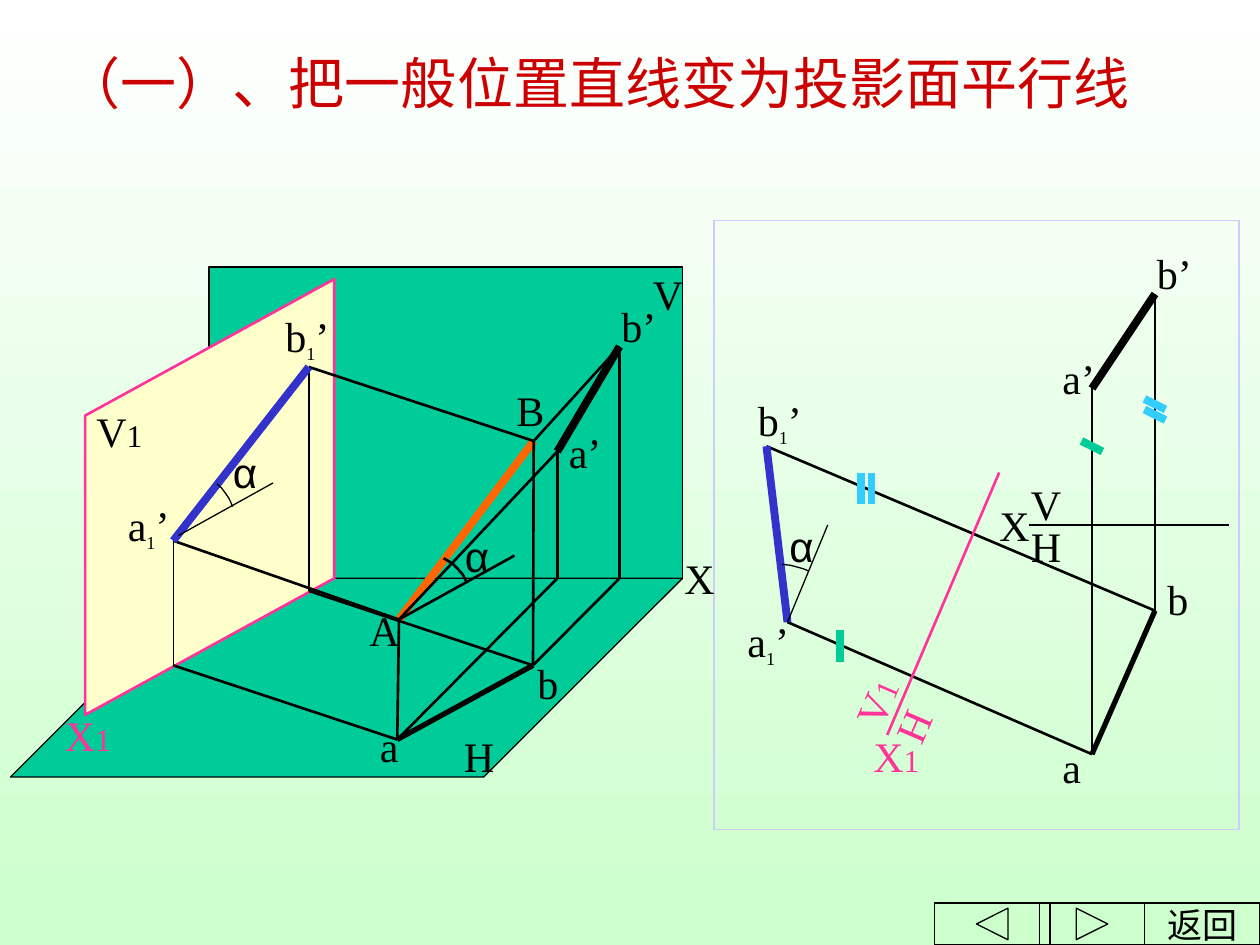
import pptx
import pptx.dml.color
import pptx.enum.shapes
import pptx.enum.text
import pptx.oxml.ns
import pptx.util
from lxml import etree

Pt = pptx.util.Pt
SHAPE = pptx.enum.shapes.MSO_SHAPE
ALIGN = pptx.enum.text.PP_ALIGN
ANCHOR = pptx.enum.text.MSO_ANCHOR

SERIF, SANS, CJK = "Times New Roman", "Arial", "Noto Sans CJK JP"
BLACK, GREEN, PINK = "000000", "00CC99", "FF3399"
BLUE, CYAN, ORANGE = "3333CC", "33CCFF", "FF6600"
THIN, MEDIUM, BOLD, THICK = 0.75, 1.5, 3, 4.5

# Points of the spatial view (left) and of the projection drawing (right)
SPACE = {
    "A": (228, 354), "B": (305, 252), "a": (227, 422.6), "b": (304.6, 380.2),
    "a'": (318.5, 258), "b'": (354, 198), "ax": (318.5, 330.5), "bx": (354, 330.5),
    "a1'": (99, 309), "b1'": (176.5, 209.7), "a1": (99, 380.2), "b1": (176.5, 337.7),
    "A angle": (294, 317.5), "a1' start": (102, 306), "a1' angle": (156, 276),
}
FLAT = {
    "a": (624, 431), "b": (660, 349), "a'": (624, 222), "b'": (660, 168),
    "a1'": (450, 355.5), "b1'": (438, 255), "angle": (473, 300),
    "x": (588, 300), "x end": (702, 300), "x1 top": (571, 270), "x1": (507, 420),
}

# outline, closed, fill, line colour, line width
PLANES = [
    ([(119.5, 152.5), (390, 152.5), (390, 330.5), (119.5, 330.5)], GREEN, BLACK, THIN),
    ([(119.5, 330.5), (6, 444), (276.5, 444), (390, 330.5)], GREEN, BLACK, THIN),
    ([(48.7, 408.5), (191, 330.5), (191, 159.5), (48.7, 237.5)], "FFFFCC", PINK, MEDIUM),
]
ARCS = [
    ([(253.5, 319), (258.5, 322), (261.5, 325), (264.5, 328.5), (266.5, 332.5)], MEDIUM),
    ([(124, 276.5), (126.5, 278.7), (129, 282), (131, 285), (133, 289.5)], THIN),
    ([(447, 322.5), (451.5, 323), (455.5, 324), (459, 325), (462, 326.2)], THIN),
]

SPACE_LINES = [
    ("b'", "bx", BLACK, MEDIUM), ("a'", "ax", BLACK, MEDIUM), ("a", "b", BLACK, BOLD),
    ("bx", "b", BLACK, MEDIUM), ("ax", "a", BLACK, MEDIUM), ("b'", "a'", BLACK, THICK),
    ("B", "A", ORANGE, THICK), ("b'", "B", BLACK, MEDIUM), ("a'", "A", BLACK, MEDIUM),
    ("A", "a", BLACK, MEDIUM), ("A", "A angle", BLACK, MEDIUM), ("B", "b", BLACK, MEDIUM),
    ("b1'", "b1", BLACK, MEDIUM), ("B", "b1'", BLACK, MEDIUM), ("A", "a1'", BLACK, MEDIUM),
    ("a", "a1", BLACK, MEDIUM), ("b", "b1", BLACK, MEDIUM), ("a1'", "a1", BLACK, THIN),
    ("b1'", "a1'", BLUE, THICK), ("a1' start", "a1' angle", BLACK, THIN),
]
FLAT_LINES = [
    ("b1'", "b", BLACK, MEDIUM), ("a1'", "a", BLACK, MEDIUM), ("b1'", "a1'", BLUE, THICK),
    ("a1'", "angle", BLACK, THIN), ("x1 top", "x1", PINK, MEDIUM),
    ("x", "x end", BLACK, MEDIUM), ("b'", "b", BLACK, MEDIUM), ("a'", "a", BLACK, MEDIUM),
    ("b", "a", BLACK, BOLD), ("b'", "a'", BLACK, THICK),
]
# Equal-length marks: start, run, colour
UPRIGHT, SLANTED = (0, 18), (12, 6)
MARKS = [
    ((492, 270), UPRIGHT, CYAN), ((498, 270), UPRIGHT, CYAN), ((480, 360), UPRIGHT, GREEN),
    ((618, 252), SLANTED, GREEN), ((654, 228), SLANTED, CYAN), ((654, 234), SLANTED, CYAN),
]

# Labels: "_" puts the next character below the line, "~" only makes it smaller
LABELS = [
    ("V", 366, 150, 30), ("H", 258, 414, 30), ("X", 384, 312, 36), ("A", 204, 342, 30),
    ("a’", 318, 240, 42), ("B", 288, 216, 30), ("b’", 348, 168, 48), ("a", 210, 408, 48),
    ("b", 300, 372, 48), ("V~1", 48, 228, 48), ("a_1’", 66, 282, 42),
    ("b_1’", 156, 174, 42), ("a_1’", 420, 348, 42), ("b_1’", 426, 222, 42),
    ("b", 660, 324, 48), ("a", 600, 420, 48), ("b’", 654, 138, 48), ("a’", 600, 198, 48),
    ("X", 564, 282, 36), ("V", 582, 270, 30), ("H", 582, 294, 30),
]
ANGLES = [("α", 258.5, 299.5, 35), ("α", 126, 251.5, 30), ("α", 444, 294, 35)]
X1_LABELS = [
    ("X~1", 30, 402, 60, 0), ("X~1", 492, 414, 60, 0),
    ("V~1", 480, 382.5, 41, 293.3), ("H", 506, 397.5, 30, 293.3),
]
BUTTONS = [
    (SHAPE.ACTION_BUTTON_CUSTOM, 654, 66, "返回"),
    (SHAPE.ACTION_BUTTON_BACK_OR_PREVIOUS, 534, 66, ""),
    (SHAPE.ACTION_BUTTON_FORWARD_OR_NEXT, 594, 60, ""),
]

prs = pptx.Presentation()
prs.slide_width, prs.slide_height = Pt(720), Pt(540)
slide = prs.slides.add_slide(prs.slide_layouts[6])
shapes = slide.shapes


def rgb(value):
    return pptx.dml.color.RGBColor.from_string(value)


def paint(sp, fill, line, width):
    sp.shadow.inherit = False
    if fill:
        sp.fill.solid()
        sp.fill.fore_color.rgb = rgb(fill)
    else:
        sp.fill.background()
    sp.line.color.rgb = rgb(line)
    sp.line.width = Pt(width)


def add_line(start, end, color, width):
    line = shapes.add_connector(pptx.enum.shapes.MSO_CONNECTOR.STRAIGHT,
                                *(Pt(v) for v in (*start, *end)))
    line.line.color.rgb = rgb(color)
    line.line.width = Pt(width)
    etree.SubElement(line._element.spPr, pptx.oxml.ns.qn("a:effectLst"))


def add_outline(points, fill, line, width, closed=True):
    points = [(Pt(x), Pt(y)) for x, y in points]
    builder = shapes.build_freeform(*points[0])
    builder.add_line_segments(points[1:], close=closed)
    paint(builder.convert_to_shape(), fill, line, width)


def write(sp, text, size=24, font=SERIF, color=BLACK, align=ALIGN.LEFT,
          anchor=ANCHOR.TOP, wrap=True):
    tf = sp.text_frame
    tf.word_wrap = wrap
    tf.vertical_anchor = anchor
    p = tf.paragraphs[0]
    p.alignment = align
    runs, mark = [], ""
    for char in text:
        if char in "_~":
            mark = char
        elif mark or not runs or runs[-1][1]:
            runs.append([char, mark])
            mark = ""
        else:
            runs[-1][0] += char
    for content, mark in runs:
        r = p.add_run()
        r.text = content
        r.font.size = Pt(18 if mark else size)
        r.font.name = font
        r.font.color.rgb = rgb(color)
        props = r.font._element
        etree.SubElement(props, pptx.oxml.ns.qn("a:ea"), typeface=CJK)
        if mark == "_":
            props.set("baseline", "-25000")


def add_text(text, x, y, w, h=36, rotation=0, **fmt):
    sp = shapes.add_textbox(Pt(x), Pt(y), Pt(w), Pt(h))
    sp.rotation = rotation
    write(sp, text, **fmt)


fill = slide.background.fill
fill.gradient()
fill.gradient_angle = 270
for stop, color in zip(fill.gradient_stops, ("FFFFFF", "CCFFCC")):
    stop.color.rgb = rgb(color)

for plane in PLANES:
    add_outline(*plane)
for points, lines in ((SPACE, SPACE_LINES), (FLAT, FLAT_LINES)):
    for start, end, color, width in lines:
        add_line(points[start], points[end], color, width)
for arc, width in ARCS:
    add_outline(arc, None, BLACK, width, closed=False)

panel = shapes.add_shape(SHAPE.RECTANGLE, Pt(408), Pt(126), Pt(300), Pt(348))
paint(panel, None, "CCCCFF", THIN)
for (x, y), (dx, dy), color in MARKS:
    add_line((x, y), (x + dx, y + dy), color, THICK)

add_text("（一）、把一般位置直线变为投影面平行线", 30, 24, 660, 54,
         size=32, font=CJK, color="CC0000")
for label in LABELS:
    add_text(*label)
for label in ANGLES:
    add_text(*label, font=SANS, wrap=False)
for text, x, y, w, rotation in X1_LABELS:
    add_text(text, x, y, w, rotation=rotation, color=PINK)

for kind, x, w, text in BUTTONS:
    sp = shapes.add_shape(kind, Pt(x), Pt(516), Pt(w), Pt(24))
    paint(sp, None, BLACK, THIN)
    if text:
        write(sp, text, size=20, align=ALIGN.CENTER, anchor=ANCHOR.MIDDLE, wrap=False)

prs.save("out.pptx")
